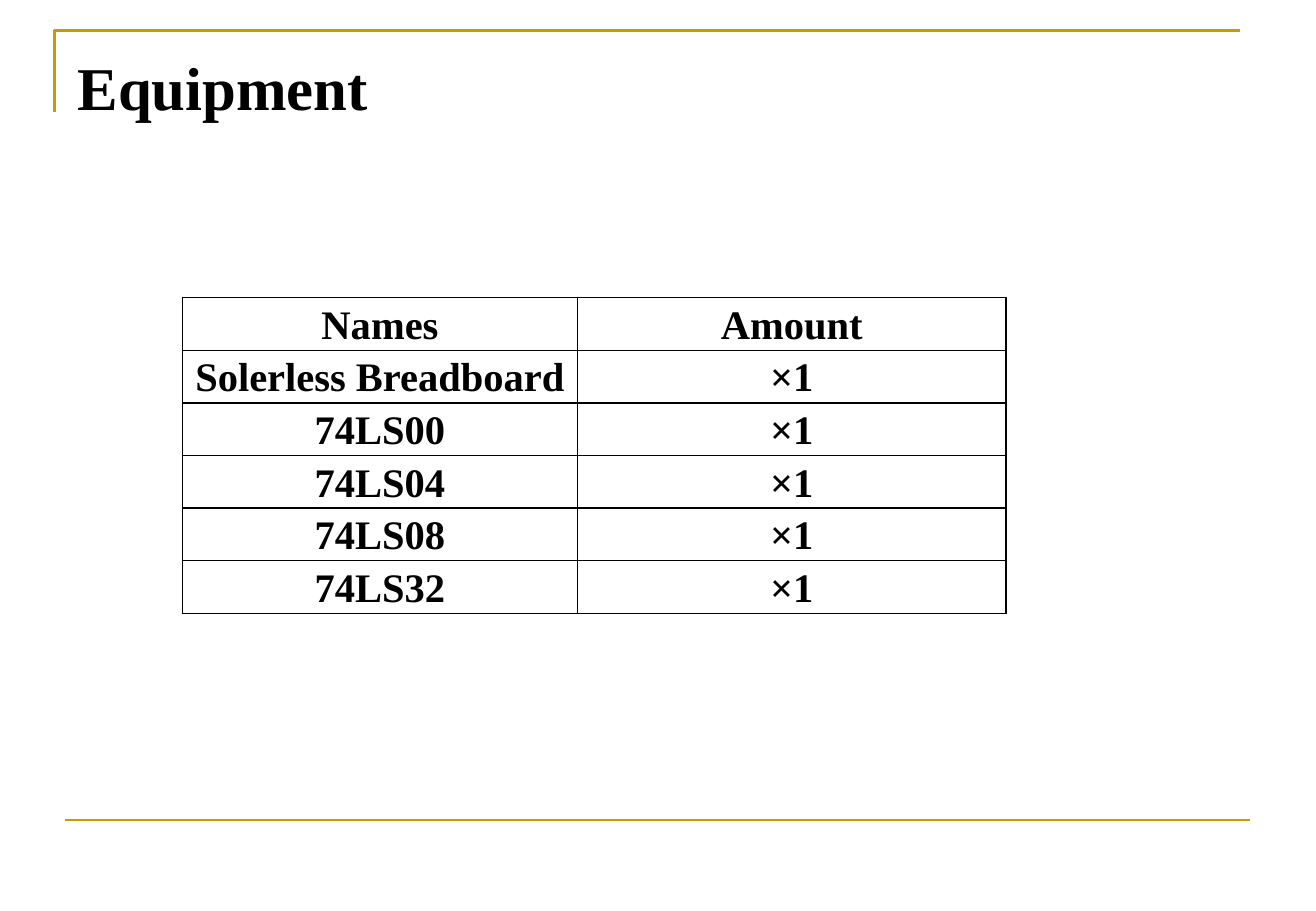
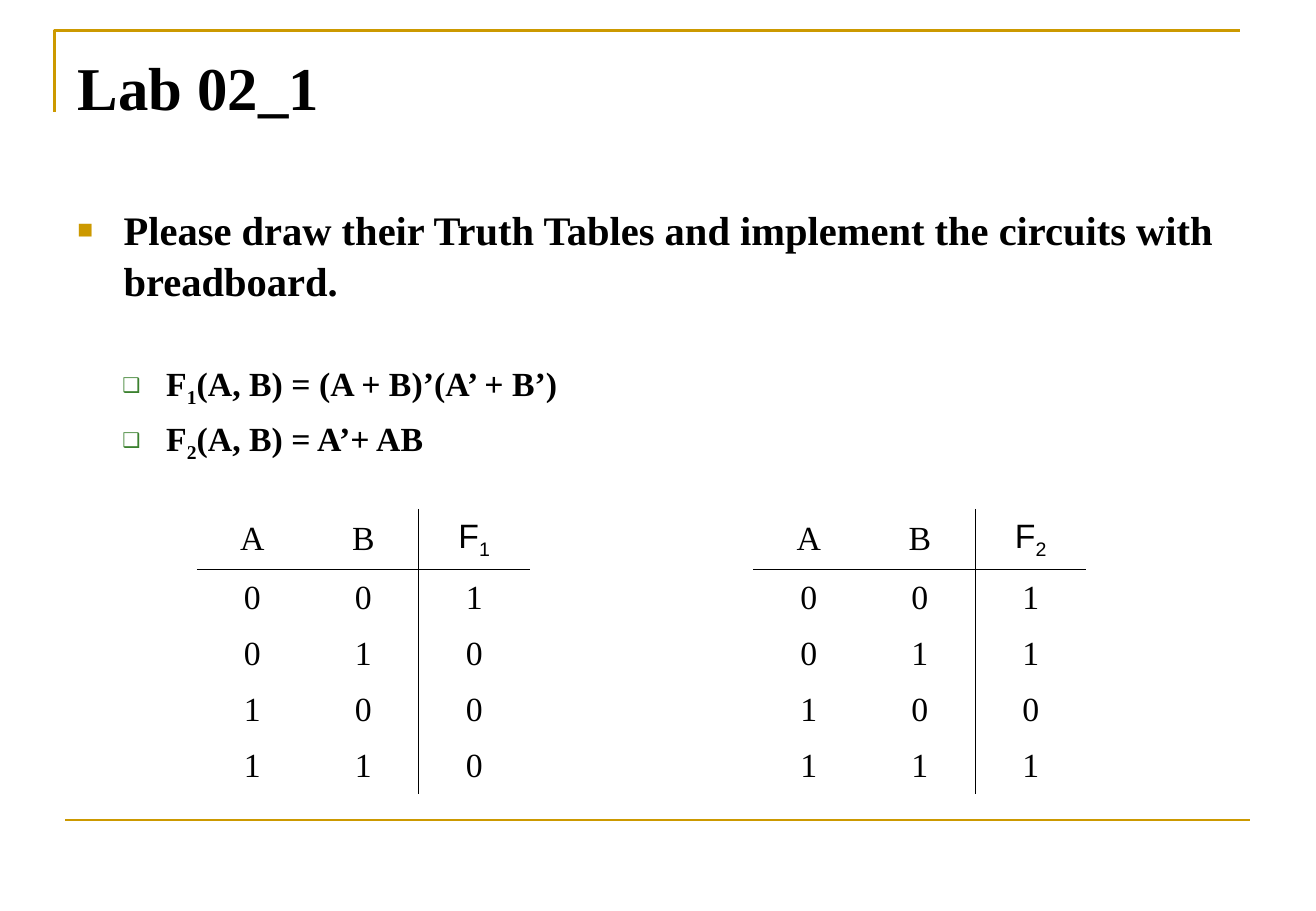
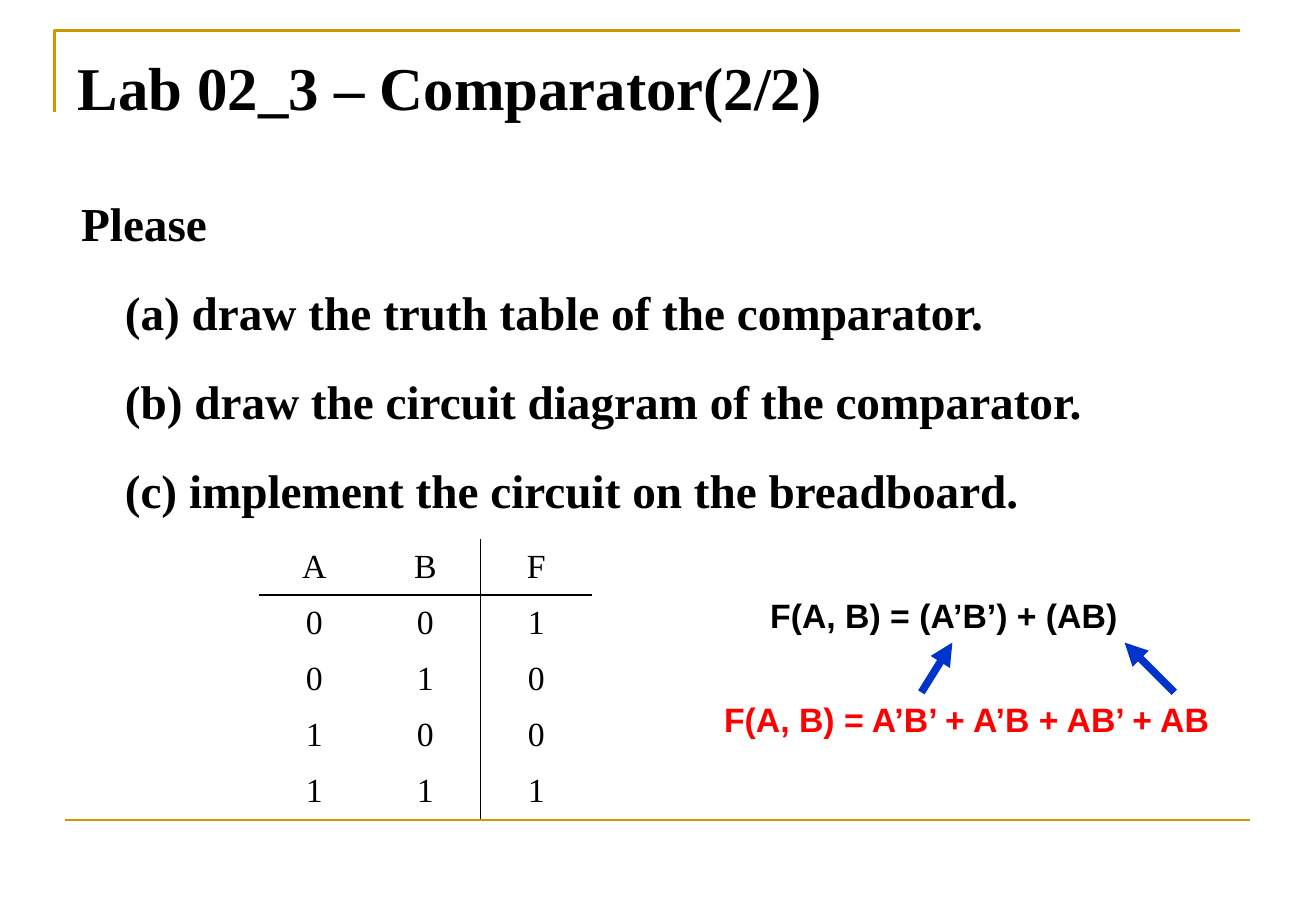
from collections import namedtuple

from lxml import etree
from pptx import Presentation, util as u
from pptx.dml.color import RGBColor
from pptx.enum import shapes, text
from pptx.oxml import ns

SERIF, SANS = "Times New Roman", "Arial"
BLACK, WHITE, GOLD, GREEN, RED, BLUE = "000000", "FFFFFF", "CC9900", "3B812F", "FF0000", "0033CC"

TITLE = dict(name=SERIF, size=u.Pt(36), bold=True)
POINT = dict(name=SERIF, size=u.Pt(24), bold=True)
SUBPOINT = dict(POINT, size=u.Pt(20))
STEP = dict(POINT, size=u.Pt(28))
TRUTH = dict(name=SERIF, size=u.Pt(20), bold=False)
FORMULA = dict(name=SANS, size=u.Pt(20), bold=True)

Box = namedtuple("Box", "left top width height")

deck = Presentation()
deck.slide_width, deck.slide_height = u.Inches(10.83), u.Inches(7.5)
title_only = deck.slide_layouts[5]


def across(percent):
    return round(deck.slide_width * percent / 100)


def down(percent):
    return round(deck.slide_height * percent / 100)


def area(left, top, width, height):
    return Box(across(left), down(top), across(width), down(height))


TITLE_BOX = area(4.98, 4, 93.07, 17.6)
BODY_BOX = area(4.98, 21.6, 93.07, 66.53)


def color(value):
    return RGBColor.from_string(value)


def apply(target, values):
    for key, value in values.items():
        setattr(target, key, value)


def style_line(line, value, width):
    line.color.rgb = color(value)
    line.width = u.Pt(width)


def child(parent, tag, **attributes):
    return etree.SubElement(parent, ns.qn(tag), attributes)


def write(paragraph, wording, font, value=BLACK, **layout):
    apply(paragraph, layout)
    for index, piece in enumerate(wording.split("|")):
        run = paragraph.add_run()
        run.text = piece
        apply(run.font, font)
        run.font.color.rgb = color(value)
        if index % 2:
            run._r.get_or_add_rPr().set("baseline", "-25000")


def indent(paragraph, margin, first=0):
    properties = paragraph._p.get_or_add_pPr()
    properties.set("marL", str(u.Inches(margin)))
    properties.set("indent", str(u.Inches(first)))
    return properties


def bullet(paragraph, mark, value, percent, margin, first):
    properties = indent(paragraph, margin, first)
    child(child(properties, "a:buClr"), "a:srgbClr", val=value)
    child(properties, "a:buSzPct", val=str(percent * 1000))
    child(properties, "a:buFont", typeface=SANS)
    child(properties, "a:buChar", char=mark)


def connect(slide, start, end, value, width):
    line = slide.shapes.add_connector(shapes.MSO_CONNECTOR.STRAIGHT, *start, *end)
    style_line(line.line, value, width)
    child(line.element.spPr, "a:effectLst")
    return line


def share_frame(slide, layout):
    corner = area(4.16, 3.33, 90.03, 8.93)
    outline = slide.shapes.build_freeform(corner.left, corner.top + corner.height)
    outline.add_line_segments(
        [(corner.left, corner.top), (corner.left + corner.width, corner.top)], close=False)
    bracket = outline.convert_to_shape()
    bracket.fill.background()
    bracket.shadow.inherit = False
    style_line(bracket.line, GOLD, 1.5)
    footer = connect(slide, (across(4.98), down(90)), (across(95.01), down(90)), GOLD, 1.5)
    for part in (bracket, footer):
        layout.shapes.element.append(part.element)


def titled_slide(heading):
    slide = deck.slides.add_slide(title_only)
    title = slide.shapes.title
    apply(title, TITLE_BOX._asdict())
    apply(title.text_frame, dict(
        vertical_anchor=text.MSO_ANCHOR.TOP, auto_size=text.MSO_AUTO_SIZE.NONE,
        word_wrap=True, margin_top=u.Inches(0.11)))
    write(title.text_frame.paragraphs[0], heading, TITLE, alignment=text.PP_ALIGN.LEFT)
    return slide


def text_area(slide, box, **values):
    frame = slide.shapes.add_textbox(*box).text_frame
    apply(frame, dict(dict(word_wrap=True), **values))
    return frame


def paragraphs(frame, count):
    return [frame.paragraphs[0]] + [frame.add_paragraph() for _ in range(count - 1)]


def draw_borders(cell, ruled):
    properties = cell._tc.get_or_add_tcPr()
    for side in "LRTB":
        edge = child(properties, f"a:ln{side}", w=str(u.Pt(1)))
        if side in ruled:
            child(child(edge, "a:solidFill"), "a:srgbClr", val=BLACK)
        else:
            child(edge, "a:noFill")


def add_grid(slide, box, rows, columns, heights, margins, font_of, rules_of, fill, **layout):
    grid = slide.shapes.add_table(len(rows), len(columns), *box).table
    apply(grid, dict(first_row=False, horz_banding=False))
    for column, share in zip(grid.columns, columns):
        column.width = round(box.width * share)
    for row, share in zip(grid.rows, heights):
        row.height = round(box.height * share)
    side, edge = map(u.Inches, margins)
    for r, wordings in enumerate(rows):
        for c, wording in enumerate(wordings):
            cell = grid.cell(r, c)
            draw_borders(cell, rules_of(r, c))
            if fill:
                cell.fill.solid()
                cell.fill.fore_color.rgb = color(fill)
            else:
                cell.fill.background()
            apply(cell, dict(margin_left=side, margin_right=side, margin_top=edge,
                             margin_bottom=edge, vertical_anchor=text.MSO_ANCHOR.MIDDLE))
            write(cell.text_frame.paragraphs[0], wording, font_of(wording),
                  alignment=text.PP_ALIGN.CENTER, **layout)


def equipment_table(slide, box, items):
    rows = [("Names", "Amount")] + [(item, "×1") for item in items]
    add_grid(slide, box, rows, (0.48, 0.52), [1 / len(rows)] * len(rows), (0.08, 0),
             lambda wording: POINT, lambda r, c: "LRTB", None, line_spacing=1.07)


def truth_table(slide, box, output, results, header=0.2):
    rows = [("A", "B", output)]
    rows += [(str(n // 2), str(n % 2), result) for n, result in enumerate(results)]
    heights = [header] + [(1 - header) / 4] * 4

    def rules(r, c):
        return {0: "B", 1: "T"}.get(r, "") + {1: "R", 2: "L"}.get(c, "")

    def font(wording):
        return dict(TRUTH, name=SANS) if "|" in wording else TRUTH

    add_grid(slide, box, rows, [1 / 3] * 3, heights, (0.15, 0.06), font, rules, WHITE)


def task_list(slide, box, task, functions):
    first, *rest = paragraphs(text_area(slide, box), 1 + len(functions))
    write(first, task, POINT, line_spacing=1.05, space_before=u.Pt(2))
    bullet(first, "■", GOLD, 65, 0.38, -0.38)
    for paragraph, function, gap in zip(rest, functions, (33, 4)):
        write(paragraph, function, SUBPOINT, line_spacing=1.05, space_before=u.Pt(gap))
        bullet(paragraph, "❑", GREEN, 60, 0.73, -0.36)


def step_list(slide, box, lead, steps):
    lines = [lead, *steps]
    for paragraph, line in zip(paragraphs(text_area(slide, box), len(lines)), lines):
        write(paragraph, line, STEP, line_spacing=1.57, alignment=text.PP_ALIGN.JUSTIFY)
        if line != lead:
            indent(paragraph, 0.88, -0.52)


def formula(slide, box, wording, value):
    frame = text_area(slide, box, word_wrap=False, auto_size=text.MSO_AUTO_SIZE.SHAPE_TO_FIT_TEXT)
    write(frame.paragraphs[0], wording, FORMULA, value)
    indent(frame.paragraphs[0], 0.5)


def simplification(slide, reduced_box, full_box):
    formula(slide, reduced_box, "F(A, B) = (A’B’) + (AB)", BLACK)
    formula(slide, full_box, "F(A, B) = A’B’ + A’B + AB’ + AB", RED)
    tip = reduced_box.top + reduced_box.height
    for start, end in ((0.47, 0.57), (0.91, 0.955)):
        source = full_box.left + round(full_box.width * start)
        target = reduced_box.left + round(reduced_box.width * end)
        arrow = connect(slide, (source, full_box.top), (target, tip), BLUE, 4.5)
        child(arrow.line._get_or_add_ln(), "a:tailEnd", type="triangle")


equipment = titled_slide("Equipment")
share_frame(equipment, title_only)
equipment_table(equipment, area(13.85, 32.67, 62.6, 34.67),
                ("Solerless Breadboard", "74LS00", "74LS04", "74LS08", "74LS32"))

lab = titled_slide("Lab 02_1")
task_list(lab, BODY_BOX,
          "Please draw their Truth Tables and implement the circuits with breadboard.",
          ("F|1|(A, B) = (A + B)’(A’ + B’)", "F|2|(A, B) = A’+ AB"))
for left, output, results in ((14.96, "F|1", "1000"), (57.25, "F|2", "1101")):
    truth_table(lab, area(left, 55.87, 25.3, 31.2), output, results, 0.21)

comparator = titled_slide("Lab 02_3 – Comparator(2/2)")
step_list(comparator, area(5.26, 17.07, 93.07, 66.53), "Please",
          ("(a) draw the truth table of the comparator.",
           "(b) draw the circuit diagram of the comparator.",
           "(c) implement the circuit on the breadboard."))
truth_table(comparator, area(19.67, 59.2, 25.3, 30.67), "F", "1001")
simplification(comparator, area(53, 64.67, 33.98, 5.87), area(49.49, 76, 43.67, 5.87))

deck.save("out.pptx")
